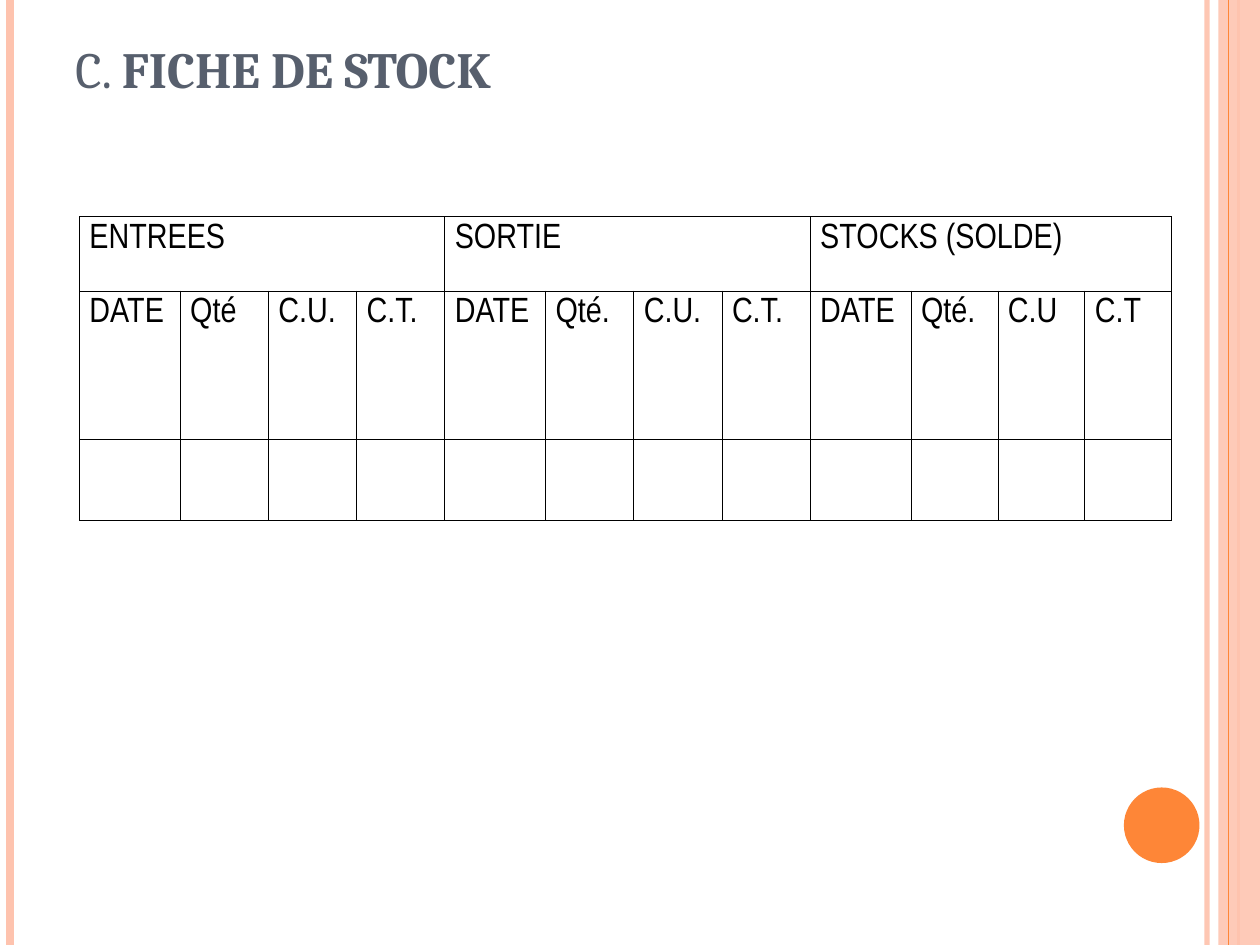
from dataclasses import dataclass

from lxml import etree
from pptx import Presentation
from pptx.dml.color import RGBColor
from pptx.enum.shapes import MSO_CONNECTOR, MSO_SHAPE
from pptx.enum.text import MSO_ANCHOR, PP_ALIGN
from pptx.oxml.ns import qn
from pptx.util import Inches, Pt

STRAIGHT = MSO_CONNECTOR.STRAIGHT
RECTANGLE, OVAL = MSO_SHAPE.RECTANGLE, MSO_SHAPE.OVAL
TOP = MSO_ANCHOR.TOP
LEFT, JUSTIFY = PP_ALIGN.LEFT, PP_ALIGN.JUSTIFY


@dataclass(frozen=True)
class Theme:
    peach: str = "FEC3AE"
    orange: str = "FE8637"
    slate: str = "575F6D"
    black: str = "000000"
    title_font: str = "Cambria"
    table_font: str = "Arial Narrow"
    title_size: float = 29
    table_size: float = 20
    border: float = 0.45


THEME = Theme()
WIDTH, HEIGHT = 10, 7.5
GROUPS = {
    "ENTREES": ["DATE", "Qté", "C.U.", "C.T."],
    "SORTIE": ["DATE", "Qté.", "C.U.", "C.T."],
    "STOCKS (SOLDE)": ["DATE", "Qté.", "C.U", "C.T"],
}
GROUP_WIDTHS = [0.8, 0.7, 0.7, 0.7]
LAST_GROUP_WIDTHS = [0.8, 0.69, 0.69, 0.69]
ROW_HEIGHTS = [0.59, 1.18, 0.64]


def write(para, text, *, font, size, color, bold=False, align=LEFT):
    para.alignment = align
    span = para.add_run()
    span.text = text
    span.font.name = font
    span.font.size = Pt(size)
    span.font.bold = bold
    span.font.color.rgb = RGBColor.from_string(color)


def set_opacity(properties, percent):
    color = next(properties.iter(qn("a:srgbClr")))
    etree.SubElement(color, qn("a:alpha"), val=str(percent * 1000))


def add_stripe(page, x, color, weight, opacity=100):
    """Draw a vertical line over the full height of the page."""
    stripe = page.shapes.add_connector(
        STRAIGHT, Inches(x), 0, Inches(x), Inches(HEIGHT))
    stripe.line.color.rgb = RGBColor.from_string(color)
    stripe.line.width = Pt(weight)
    properties = stripe._element.spPr
    if opacity < 100:
        set_opacity(properties, opacity)
    etree.SubElement(properties, qn("a:effectLst"))


def add_plain_shape(page, kind, box, color, opacity=100):
    shape = page.shapes.add_shape(kind, *map(Inches, box))
    shape.shadow.inherit = False
    shape.fill.solid()
    shape.fill.fore_color.rgb = RGBColor.from_string(color)
    shape.line.fill.background()
    if opacity < 100:
        set_opacity(shape._element.spPr, opacity)


def add_decoration(page):
    add_stripe(page, 9.58, THEME.peach, 3, opacity=93)
    add_stripe(page, 0.08, THEME.peach, 4.5)
    add_stripe(page, 9.83, THEME.peach, 1.5)
    add_plain_shape(page, RECTANGLE, (9.67, 0, WIDTH - 9.67, HEIGHT),
                    THEME.peach, opacity=87)
    add_stripe(page, 9.75, THEME.orange, 0.75)
    add_plain_shape(page, OVAL, (8.92, 6.25, 0.6, 0.6), THEME.orange)


def add_title(page, box):
    frame = page.shapes.add_textbox(*map(Inches, box)).text_frame
    frame.word_wrap = True
    frame.vertical_anchor = TOP
    frame.margin_top = 0
    para = frame.paragraphs[0]
    style = dict(font=THEME.title_font, size=THEME.title_size, color=THEME.slate)
    write(para, "C. ", **style)
    write(para, "FICHE DE STOCK", bold=True, **style)


def format_cell(cell):
    cell.margin_left = cell.margin_right = Inches(0.08)
    cell.margin_top = cell.margin_bottom = Inches(0.05)
    properties = cell._tc.get_or_add_tcPr()
    for side in ("lnL", "lnR", "lnT", "lnB"):
        edge = etree.SubElement(properties, qn(f"a:{side}"),
                                w=str(int(Pt(THEME.border))))
        fill = etree.SubElement(edge, qn("a:solidFill"))
        etree.SubElement(fill, qn("a:srgbClr"), val=THEME.black)
    cell.fill.background()


def add_stock_table(page, box):
    widths = GROUP_WIDTHS * 2 + LAST_GROUP_WIDTHS
    table = page.shapes.add_table(
        len(ROW_HEIGHTS), len(widths), *map(Inches, box)).table
    table.first_row = table.horz_banding = False
    for column, width in zip(table.columns, widths):
        column.width = Inches(width)
    for row, height in zip(table.rows, ROW_HEIGHTS):
        row.height = Inches(height)
    for cell in table.iter_cells():
        format_cell(cell)

    style = dict(font=THEME.table_font, size=THEME.table_size,
                 color=THEME.black, align=JUSTIFY)
    for group, (heading, labels) in enumerate(GROUPS.items()):
        first = group * len(labels)
        head = table.cell(0, first)
        head.merge(table.cell(0, first + len(labels) - 1))
        write(head.text_frame.paragraphs[0], heading, **style)
        for offset, label in enumerate(labels):
            cell = table.cell(1, first + offset)
            write(cell.text_frame.paragraphs[0], label, **style)


def main():
    deck = Presentation()
    deck.slide_width, deck.slide_height = Inches(WIDTH), Inches(HEIGHT)
    page = deck.slides.add_slide(deck.slide_layouts[6])
    add_decoration(page)
    add_title(page, (0.5, 0.3, 9, 1.03))
    add_stock_table(page, (0.63, 1.72, 8.67, 2.41))
    deck.save("out.pptx")


if __name__ == "__main__":
    main()
